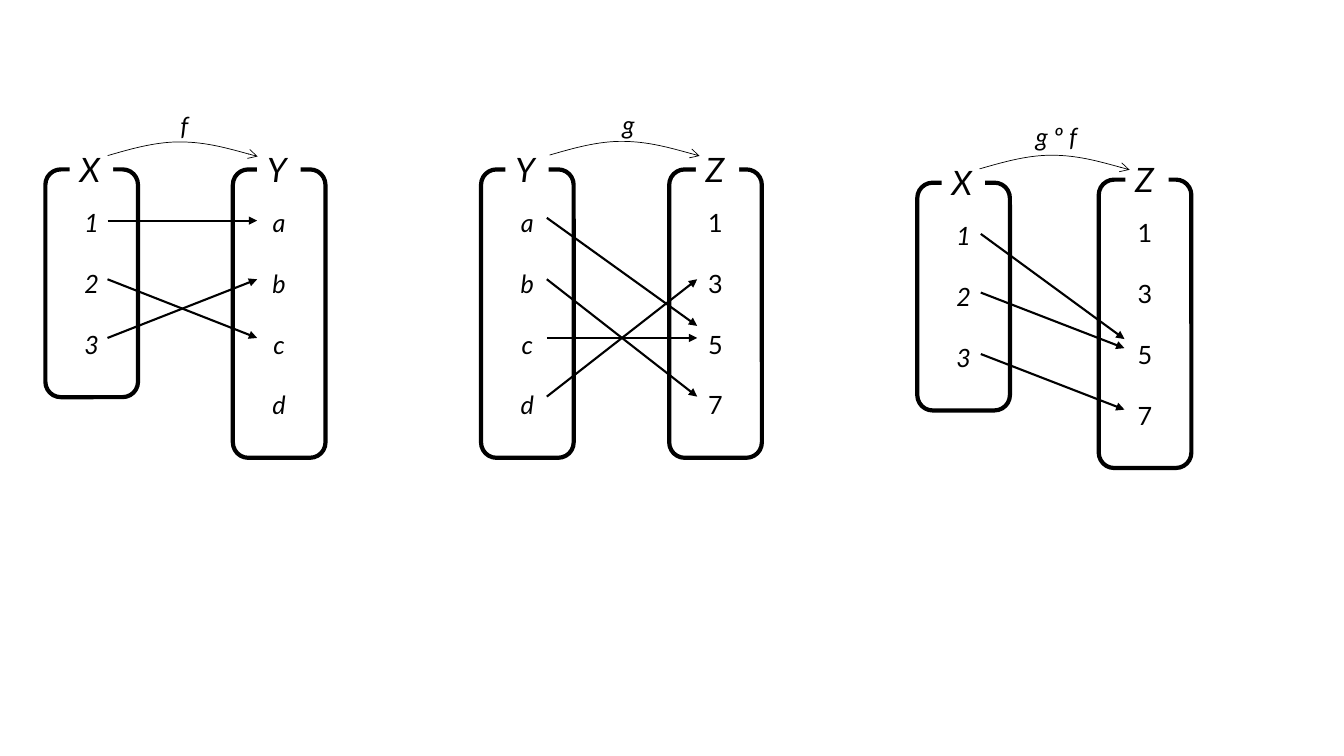
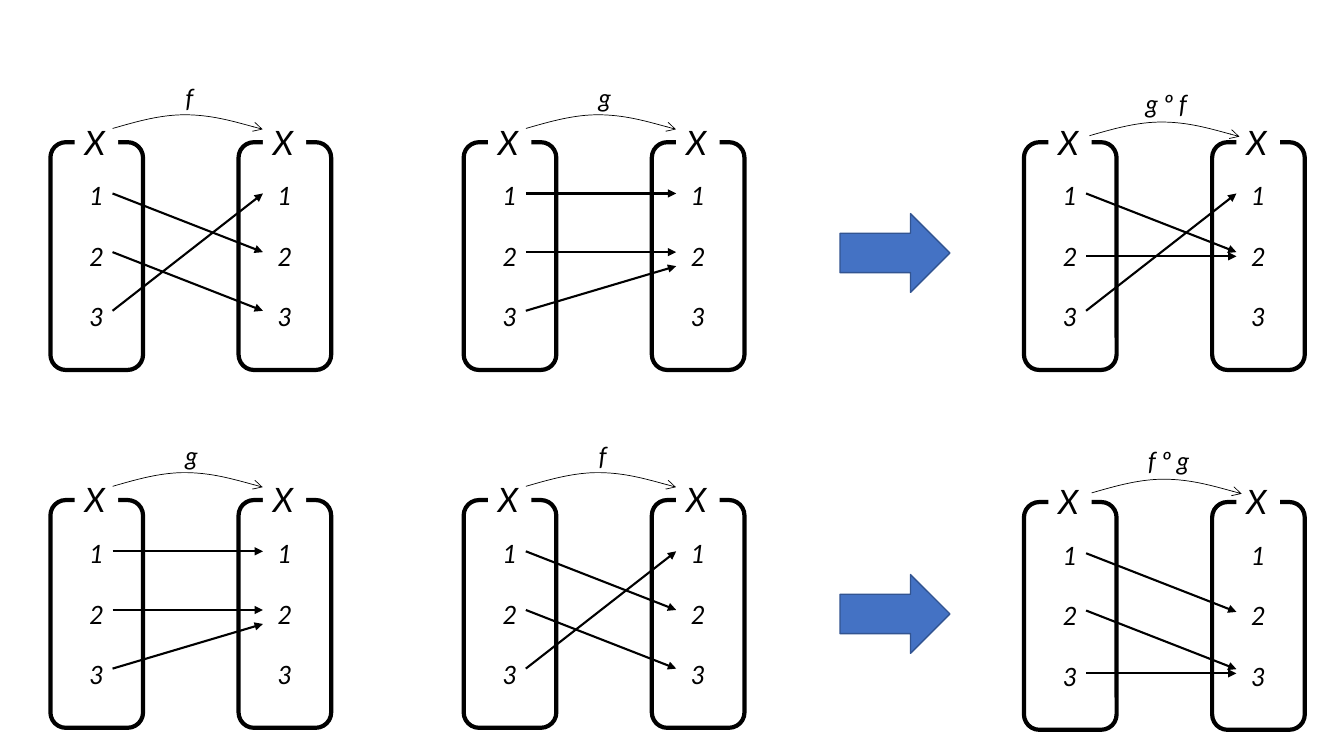
from dataclasses import dataclass

from lxml.etree import SubElement
from pptx import Presentation
from pptx.dml.color import RGBColor
from pptx.enum.shapes import MSO_CONNECTOR, MSO_SHAPE
from pptx.enum.text import MSO_ANCHOR, PP_ALIGN
from pptx.oxml.ns import qn
from pptx.util import Pt


# Shared look; lengths and type sizes are in points
@dataclass(frozen=True)
class Theme:
    ink: RGBColor = RGBColor(0x00, 0x00, 0x00)
    paper: RGBColor = RGBColor(0xFF, 0xFF, 0xFF)
    accent: RGBColor = RGBColor(0x44, 0x72, 0xC4)
    accent_line: RGBColor = RGBColor(0x32, 0x54, 0x91)
    font: str = "Lato"
    item_size: float = 18
    name_size: float = 24
    item_gap: float = 21.8
    set_line: float = 3
    arrow_line: float = 1.5
    curve_line: float = 0.5


@dataclass(frozen=True)
class MemberSet:
    name: str
    items: str
    italic: bool = True
    name_left: float = 17.4


THEME = Theme()
SET_WIDTH = 66.2
SET_HEIGHTS = {3: 162.7, 4: 206}
FIRST_ROW, ROW_PITCH = 36.6, 41.9
ARROW_START, ARROW_END = 44.4, 17.4

X = MemberSet("X", "123")
Y = MemberSet("Y", "abcd")
Z = MemberSet("Z", "1357", italic=False, name_left=19)

# Arrows: from row, to row, then optional shifts of the start and the end
F_ON_X = [(0, 1), (1, 2), (2, 0)]
G_ON_X = [(0, 0), (1, 1), (2, 1, 0, 10)]


def write_text(shape, lines, size, italic=True, align=PP_ALIGN.LEFT,
               anchor=MSO_ANCHOR.TOP, gap=0):
    frame = shape.text_frame
    frame.word_wrap = True
    frame.vertical_anchor = anchor
    for index, line in enumerate(lines):
        para = frame.add_paragraph() if index else frame.paragraphs[0]
        para.alignment = align
        para.space_before = Pt(gap if index else 0)
        span = para.add_run()
        span.text = line
        span.font.name = THEME.font
        span.font.size = Pt(size)
        span.font.italic = italic
        span.font.color.rgb = THEME.ink


class DiagramDeck:
    def __init__(self):
        self.deck = Presentation()
        self.deck.slide_width, self.deck.slide_height = Pt(960), Pt(540)
        self.page = None

    def add_page(self):
        self.page = self.deck.slides.add_slide(self.deck.slide_layouts[6])

    def add_box(self, kind, left, top, width, height,
                fill=None, line=None, weight=1):
        box = self.page.shapes.add_shape(
            kind, Pt(left), Pt(top), Pt(width), Pt(height))
        box.shadow.inherit = False
        if fill is None:
            box.fill.background()
        else:
            box.fill.solid()
            box.fill.fore_color.rgb = fill
        if line is None:
            box.line.fill.background()
        else:
            self.set_line(box, line, weight)
        return box

    def set_line(self, shape, color, weight, head=None):
        shape.line.color.rgb = color
        shape.line.width = Pt(weight)
        if head:
            outline = shape.element.spPr.find(qn("a:ln"))
            SubElement(outline, qn("a:tailEnd"), type=head)

    def add_set(self, members, left, top):
        box = self.add_box(MSO_SHAPE.ROUNDED_RECTANGLE, left, top, SET_WIDTH,
                           SET_HEIGHTS[len(members.items)],
                           line=THEME.ink, weight=THEME.set_line)
        write_text(box, members.items, THEME.item_size, italic=members.italic,
                   align=PP_ALIGN.CENTER, anchor=MSO_ANCHOR.MIDDLE,
                   gap=THEME.item_gap)
        name = self.add_box(MSO_SHAPE.RECTANGLE, left + members.name_left,
                            top - 18.4, 31, 36.3, fill=THEME.paper)
        write_text(name, [members.name], THEME.name_size)

    def add_arrow(self, *ends):
        arrow = self.page.shapes.add_connector(
            MSO_CONNECTOR.STRAIGHT, *[Pt(end) for end in ends])
        self.set_line(arrow, THEME.ink, THEME.arrow_line, head="triangle")
        SubElement(arrow.element.spPr, qn("a:effectLst"))

    def add_curve(self, left, top, label):
        points = [(left + x, top + y) for x, y in (
            (0, 10), (17.3, 5), (34.6, 0), (52.5, 0.2),
            (70.4, 0.4), (88.8, 5.5), (107.2, 10.6))]
        start, *rest = [(Pt(x), Pt(y)) for x, y in points]
        builder = self.page.shapes.build_freeform(*start)
        builder.add_line_segments(rest, close=False)
        curve = builder.convert_to_shape()
        curve.shadow.inherit = False
        curve.fill.background()
        self.set_line(curve, THEME.ink, THEME.curve_line, head="arrow")
        # Every three straight steps become one Bézier segment
        outline = next(curve.element.iter(qn("a:path")))
        steps = outline.findall(qn("a:lnTo"))
        for first in range(0, len(steps), 3):
            bezier = SubElement(outline, qn("a:cubicBezTo"))
            for step in steps[first:first + 3]:
                bezier.append(step[0])
                outline.remove(step)

        composed = len(label) > 1
        box = self.page.shapes.add_textbox(
            Pt(left + (33 if composed else 44.8)),
            Pt(top - (27.3 if composed else 26.2)),
            Pt(62 if composed else 27), Pt(29))
        write_text(box, [label], THEME.item_size)

    def add_mapping(self, source, target, label, arrows, left, top,
                    gap=134.4, drop=0, shift=0, curve_at=(44.5, -19.8)):
        right = left + gap
        self.add_set(source, left, top)
        self.add_set(target, right, top + drop)
        for start, end, *nudges in arrows:
            start_shift, end_shift = nudges or (0, 0)
            self.add_arrow(
                left + ARROW_START + shift,
                top + FIRST_ROW + start * ROW_PITCH + start_shift,
                right + ARROW_END + shift,
                top + drop + FIRST_ROW + end * ROW_PITCH + end_shift)
        self.add_curve(left + curve_at[0], top + curve_at[1], label)

    def add_block_arrow(self, left, top):
        self.add_box(MSO_SHAPE.RIGHT_ARROW, left, top, 78.5, 56.2,
                     fill=THEME.accent, line=THEME.accent_line)


def main():
    slides = DiagramDeck()

    # Composition across three sets
    slides.add_page()
    slides.add_mapping(X, Y, "f", [(0, 0), (1, 2), (2, 1)], 32.4, 121,
                       gap=133.9)
    slides.add_mapping(Y, Z, "g", [(0, 2, -2, -8.6), (1, 3), (2, 2), (3, 1)],
                       343.6, 121, shift=2.6, curve_at=(49, -20.2))
    slides.add_mapping(X, Z, "g º f",
                       [(0, 2, 0, -6.5), (1, 2), (2, 3, 2, 2)],
                       655.2, 130.5, gap=129.6, drop=-2.2, shift=1)

    # Both orders of composition on one set
    slides.add_page()
    for top, first, second in ((101.6, ("f", F_ON_X), ("g", G_ON_X)),
                               (357.2, ("g", G_ON_X), ("f", F_ON_X))):
        for left, (label, arrows) in ((36, first), (331.2, second)):
            slides.add_mapping(X, X, label, arrows, left, top)
    for top in (152.6, 410.4):
        slides.add_block_arrow(600, top)
    slides.add_mapping(X, X, "g º f", [(0, 1), (1, 1, 3, 3), (2, 0)],
                       731.4, 101.6, curve_at=(46.8, -14.6))
    slides.add_mapping(X, X, "f º g", [(0, 1), (1, 2, -1, -1), (2, 2, 2, 2)],
                       731.4, 358.6, curve_at=(48.4, -16.5))

    slides.deck.save("out.pptx")


if __name__ == "__main__":
    main()
